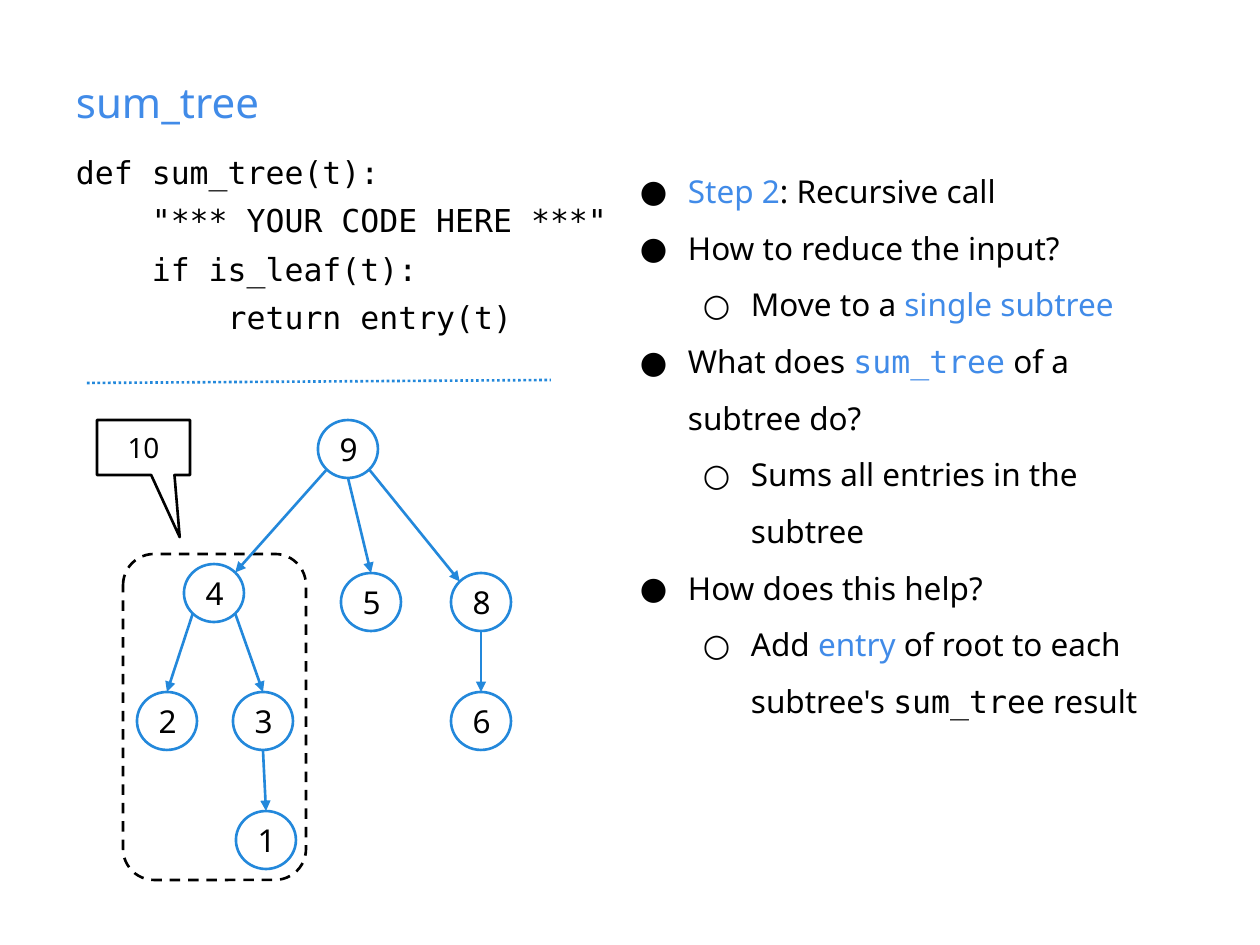
from math import sqrt

from lxml.etree import SubElement
from pptx import Presentation
from pptx.dml.color import RGBColor
from pptx.enum.dml import MSO_LINE
from pptx.enum.shapes import MSO_CONNECTOR, MSO_SHAPE
from pptx.enum.text import MSO_ANCHOR, PP_ALIGN
from pptx.oxml.ns import qn
from pptx.util import Emu, Pt

SANS, MONO = "Noto Sans", "DejaVu Sans Mono"
BLACK, ACCENT, EDGE = "000000", "418BE8", "2388DB"
INSET = 13
NODE_WIDTH, NODE_HEIGHT = 60, 58
DIAGONAL = 1 / sqrt(2)
SITES = {
    "top": (0, -1), "bottom": (0, 1),
    "top left": (-DIAGONAL, -DIAGONAL), "top right": (DIAGONAL, -DIAGONAL),
    "bottom left": (-DIAGONAL, DIAGONAL), "bottom right": (DIAGONAL, DIAGONAL),
}
NODES = {
    "9": (221, 0), "4": (87, 144), "5": (244, 153), "8": (354, 153),
    "2": (40, 272), "3": (136, 272), "6": (354, 272), "1": (139, 391),
}
BRANCHES = [
    ("9", "bottom left", "4", "top right"),
    ("9", "bottom", "5", "top"),
    ("9", "bottom right", "8", "top left"),
    ("4", "bottom left", "2", "top"),
    ("4", "bottom right", "3", "top"),
    ("8", "bottom", "6", "top"),
    ("3", "bottom", "1", "top"),
]
CODE = [
    "def sum_tree(t):",
    '    "*** YOUR CODE HERE ***"',
    "    if is_leaf(t):",
    "        return entry(t)",
]
NOTES = [
    (0, [("Step 2", SANS, ACCENT), (": Recursive call", SANS, BLACK)]),
    (0, [("How to reduce the input?", SANS, BLACK)]),
    (1, [("Move to a ", SANS, BLACK), ("single subtree", SANS, ACCENT)]),
    (0, [("What does ", SANS, BLACK), ("sum_tree", MONO, ACCENT),
         (" of a subtree do?", SANS, BLACK)]),
    (1, [("Sums all entries in the subtree", SANS, BLACK)]),
    (0, [("How does this help?", SANS, BLACK)]),
    (1, [("Add ", SANS, BLACK), ("entry", SANS, ACCENT),
         (" of root to each subtree's ", SANS, BLACK),
         ("sum_tree", MONO, BLACK), (" result", SANS, BLACK)]),
]


def px(length):
    """Turn pixels into EMU."""
    return Emu(round(length * 914400 / 126))


def color(value):
    """Turn a hex string into a colour."""
    return RGBColor.from_string(value)


def add_span(para, text, font=SANS, fill=BLACK, size=18):
    """Add one formatted run."""
    span = para.add_run()
    span.text = text
    span.font.name = font
    span.font.size = Pt(size)
    span.font.color.rgb = color(fill)


def set_frame(frame, anchor):
    """Set wrapping, insets and anchor of a text frame."""
    frame.word_wrap = True
    frame.vertical_anchor = anchor
    frame.margin_left = frame.margin_right = px(INSET)
    frame.margin_top = frame.margin_bottom = px(INSET)


def add_text_box(page, box, anchor=MSO_ANCHOR.TOP):
    """Add an empty text box and return its frame."""
    frame = page.shapes.add_textbox(*map(px, box)).text_frame
    set_frame(frame, anchor)
    return frame


def add_paras(frame, items):
    """Yield a paragraph of the frame with each item."""
    for index, item in enumerate(items):
        yield (frame.add_paragraph() if index else frame.paragraphs[0]), item


def add_outline(page, preset, box, stroke, text="", size=18):
    """Add an unfilled shape with an optional centred label."""
    shape = page.shapes.add_shape(preset, *map(px, box))
    shape.shadow.inherit = False
    shape.fill.background()
    shape.line.color.rgb = color(stroke)
    shape.line.width = Pt(1.5)
    if text:
        set_frame(shape.text_frame, MSO_ANCHOR.MIDDLE)
        para = shape.text_frame.paragraphs[0]
        para.alignment = PP_ALIGN.CENTER
        add_span(para, text, size=size)
    return shape


def add_line(page, start, end):
    """Add a straight line without a shadow."""
    line = page.shapes.add_connector(MSO_CONNECTOR.STRAIGHT, *map(px, (*start, *end)))
    line.line.color.rgb = color(EDGE)
    line.line.width = Pt(1.5)
    SubElement(line._element.spPr, qn("a:effectLst"))
    return line


def add_bullet(para, level):
    """Indent a paragraph and give it the bullet of its level."""
    para.level = level
    properties = para._p.get_or_add_pPr()
    properties.set("marL", str(px(63 * (level + 1))))
    properties.set("indent", str(-px(48)))
    tint = SubElement(properties, qn("a:buClr"))
    SubElement(tint, qn("a:srgbClr"), val=BLACK)
    SubElement(properties, qn("a:buFont"), typeface=SANS)
    SubElement(properties, qn("a:buChar"), char="●○"[level])


def draw_title(page, box):
    """Draw the slide title."""
    frame = add_text_box(page, box, MSO_ANCHOR.BOTTOM)
    add_span(frame.paragraphs[0], "sum_tree", fill=ACCENT, size=24)


def draw_code(page, box):
    """Draw the code with the dotted rule below it."""
    frame = add_text_box(page, box)
    for index, (para, text) in enumerate(add_paras(frame, CODE)):
        para.space_before = Pt(6 if index else 0)
        add_span(para, text, MONO)
    left, top = box[:2]
    rule = add_line(page, (left + 24, top + 243), (left + 488, top + 240))
    rule.line.dash_style = MSO_LINE.ROUND_DOT


def draw_notes(page, box):
    """Draw the bulleted explanation."""
    frame = add_text_box(page, box)
    for para, (level, spans) in add_paras(frame, NOTES):
        add_bullet(para, level)
        para.line_spacing = 1.5
        para.space_before = Pt(0)
        for span in spans:
            add_span(para, *span)


def draw_tree(page, box):
    """Draw the tree, its marked subtree and the callout with the sum."""
    left, top = box[:2]

    def site(label, name):
        """Find a point on the edge of a node."""
        x, y = NODES[label]
        across, down = SITES[name]
        return (left + x + NODE_WIDTH / 2 * (1 + across),
                top + y + NODE_HEIGHT / 2 * (1 + down))

    subtree = add_outline(page, MSO_SHAPE.ROUNDED_RECTANGLE,
                          (left + 26, top + 134, 183, 326), BLACK)
    subtree.adjustments[0] = 0.17
    subtree.line.dash_style = MSO_LINE.DASH
    for label, (x, y) in NODES.items():
        add_outline(page, MSO_SHAPE.OVAL,
                    (left + x, top + y, NODE_WIDTH, NODE_HEIGHT), EDGE, label)
    for parent, leave, child, enter in BRANCHES:
        branch = add_line(page, site(parent, leave), site(child, enter))
        SubElement(branch.line._get_or_add_ln(), qn("a:tailEnd"), type="triangle")
    callout = add_outline(page, MSO_SHAPE.ROUNDED_RECTANGULAR_CALLOUT,
                          (left, top, 93, 55), BLACK, "10", 16)
    for index, value in enumerate((0.39, 1.63, 0)):
        callout.adjustments[index] = value


def main():
    """Build and save the deck."""
    deck = Presentation()
    deck.slide_width, deck.slide_height = px(1260), px(945)
    page = deck.slides.add_slide(deck.slide_layouts[6])
    draw_code(page, (63, 140, 567, 738))
    draw_notes(page, (612, 140, 567, 772))
    draw_title(page, (63, 30, 1134, 110))
    draw_tree(page, (97, 420, 414, 460))
    deck.save("out.pptx")


if __name__ == "__main__":
    main()
